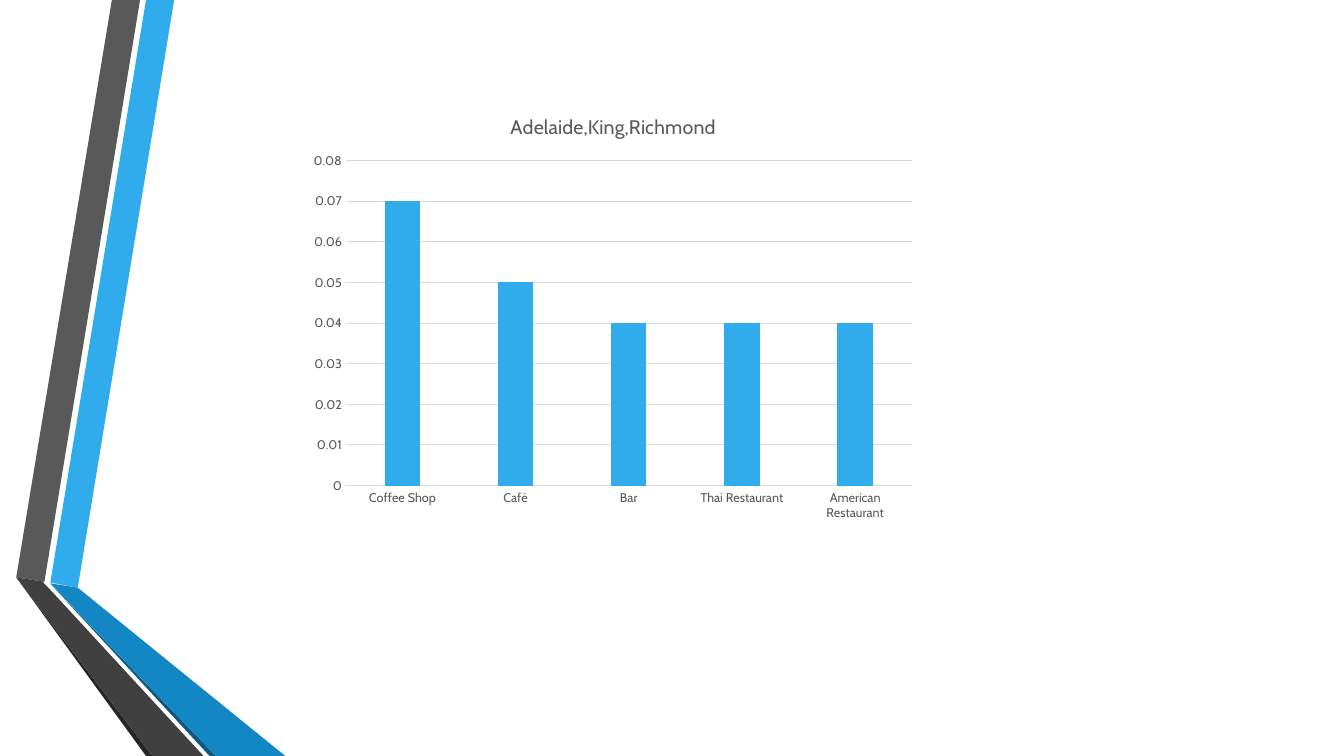
from lxml.etree import SubElement
from pptx import Presentation
from pptx.chart.data import CategoryChartData
from pptx.dml.color import RGBColor
from pptx.enum.chart import XL_CHART_TYPE, XL_TICK_MARK
from pptx.oxml.ns import qn
from pptx.util import Cm, Pt

HUES = {
    "sky": "30ACEC", "blue": "1287C3", "navy": "0C5A82",
    "gray": "595959", "dark": "404040", "black": "262626", "rule": "D9D9D9",
}
BANDS = [
    ("sky", [(1.27, 14.68), (1.96, 14.81), (4.39, 0), (3.68, 0)]),
    ("gray", [(3.53, 0), (2.82, 0), (0.41, 14.55), (1.12, 14.66)]),
    ("black", [(0.41, 14.55), (3.68, 19.05), (3.84, 19.05)]),
    ("navy", [(1.27, 14.71), (5.28, 19.05), (5.44, 19.05)]),
    ("blue", [(1.27, 14.7), (5.44, 19.05), (7.19, 19.05), (1.96, 14.81)]),
    ("dark", [(5.13, 19.05), (1.22, 14.81), (1.09, 14.68), (1.12, 14.66),
              (0.41, 14.55), (3.84, 19.05)]),
]
VENUES = {
    "Coffee Shop": 0.07, "Café": 0.05, "Bar": 0.04,
    "Thai Restaurant": 0.04, "American Restaurant": 0.04,
}


class Deck:
    face = "Cabin"

    def __init__(self, wide, high):
        self.show = Presentation()
        self.show.slide_width, self.show.slide_height = Cm(wide), Cm(high)
        self.slide = self.show.slides.add_slide(self.show.slide_layouts[6])

    def hue(self, name):
        return RGBColor.from_string(HUES[name])

    def fill(self, part, name):
        part.fill.solid()
        part.fill.fore_color.rgb = self.hue(name)

    def rule(self, line):
        line.color.rgb = self.hue("rule")
        line.width = Pt(0.75)

    def font(self, font, size):
        font.name, font.size, font.bold = self.face, Pt(size), False
        font.color.rgb = self.hue("gray")

    def band(self, name, spots):
        first, *rest = [(Cm(x), Cm(y)) for x, y in spots]
        pen = self.slide.shapes.build_freeform(*first)
        pen.add_line_segments(rest, close=True)
        shape = pen.convert_to_shape()
        shape.shadow.inherit = False
        self.fill(shape, name)
        shape.line.fill.background()

    def place(self, chart, **box):
        area = chart.plots[0]._element.getparent()
        for old in area.findall(qn("c:layout")):
            area.remove(old)
        outer = SubElement(area, qn("c:layout"))
        area.insert(0, outer)
        inner = SubElement(outer, qn("c:manualLayout"))
        marks = {"layoutTarget": "inner", "xMode": "edge", "yMode": "edge"}
        for tag, val in {**marks, **box}.items():
            SubElement(inner, qn("c:" + tag)).set("val", str(val))

    def bars(self, title, items, x, y, wide, high):
        data = CategoryChartData()
        data.categories = list(items)
        data.add_series(title, list(items.values()))
        chart = self.slide.shapes.add_chart(
            XL_CHART_TYPE.COLUMN_CLUSTERED,
            Cm(x), Cm(y), Cm(wide), Cm(high), data).chart
        self.font(chart.font, 10)
        chart.has_legend = False
        chart.has_title = True
        head = chart.chart_title.text_frame
        head.text = title
        self.font(head.paragraphs[0].font, 14)
        chart.chart_title.include_in_layout = False
        for axis in (chart.category_axis, chart.value_axis):
            axis.major_tick_mark = axis.minor_tick_mark = XL_TICK_MARK.NONE
            self.font(axis.tick_labels.font, 9)
        self.rule(chart.category_axis.format.line)
        scale = chart.value_axis
        scale.format.line.fill.background()
        scale.minimum_scale, scale.maximum_scale = 0, 0.08
        scale.major_unit = 0.01
        self.rule(scale.major_gridlines.format.line)
        plot = chart.plots[0]
        plot.vary_by_categories = False
        plot.gap_width, plot.overlap = 219, -27
        self.fill(plot.series[0].format, "sky")
        return chart


def main():
    deck = Deck(33.87, 19.05)
    for name, spots in BANDS:
        deck.band(name, spots)
    chart = deck.bars("Adelaide,King,Richmond", VENUES, 7.62, 2.41, 15.67, 10.92)
    deck.place(chart, x=0.07, y=0.15, w=0.91, h=0.75)
    deck.show.save("out.pptx")


if __name__ == "__main__":
    main()
